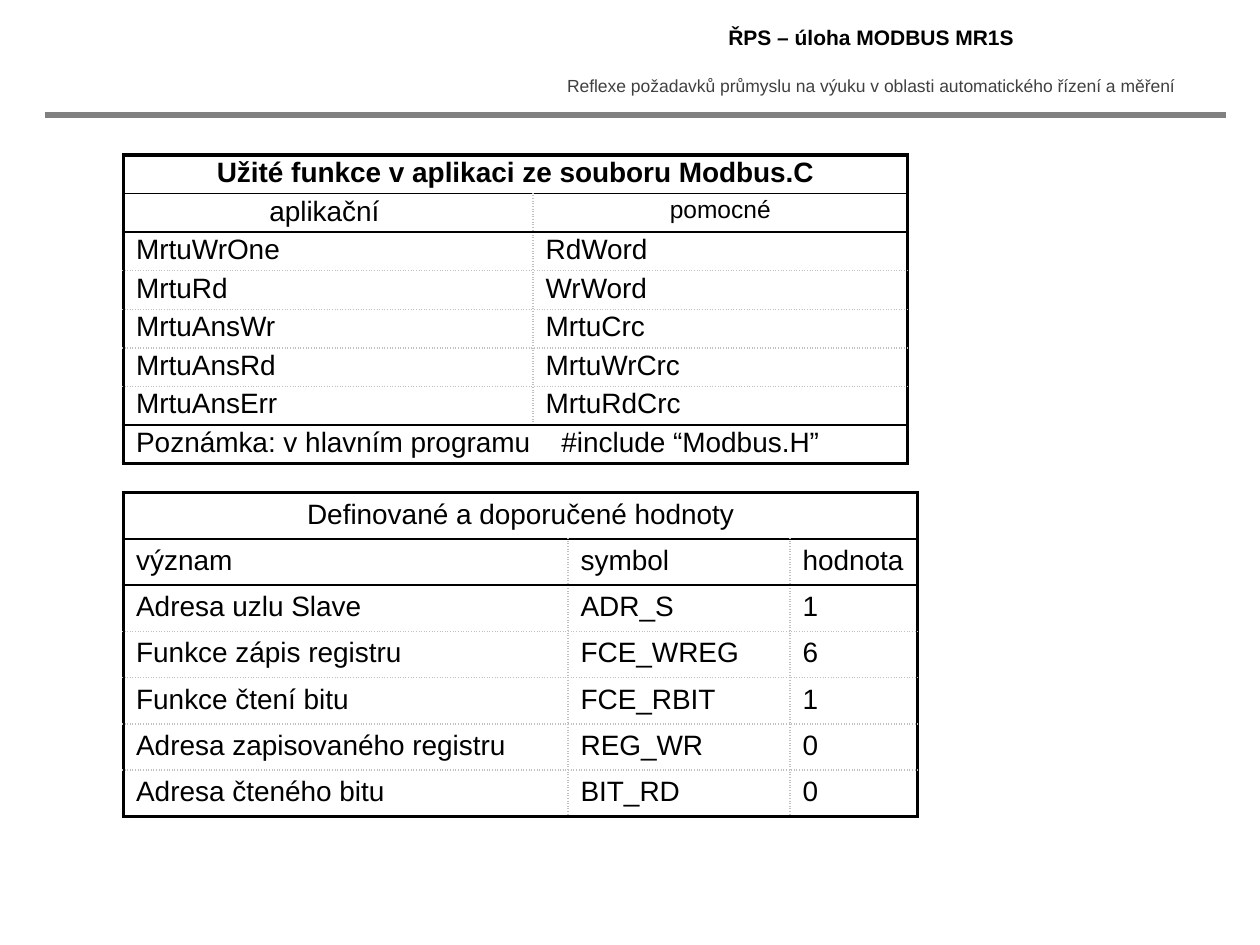
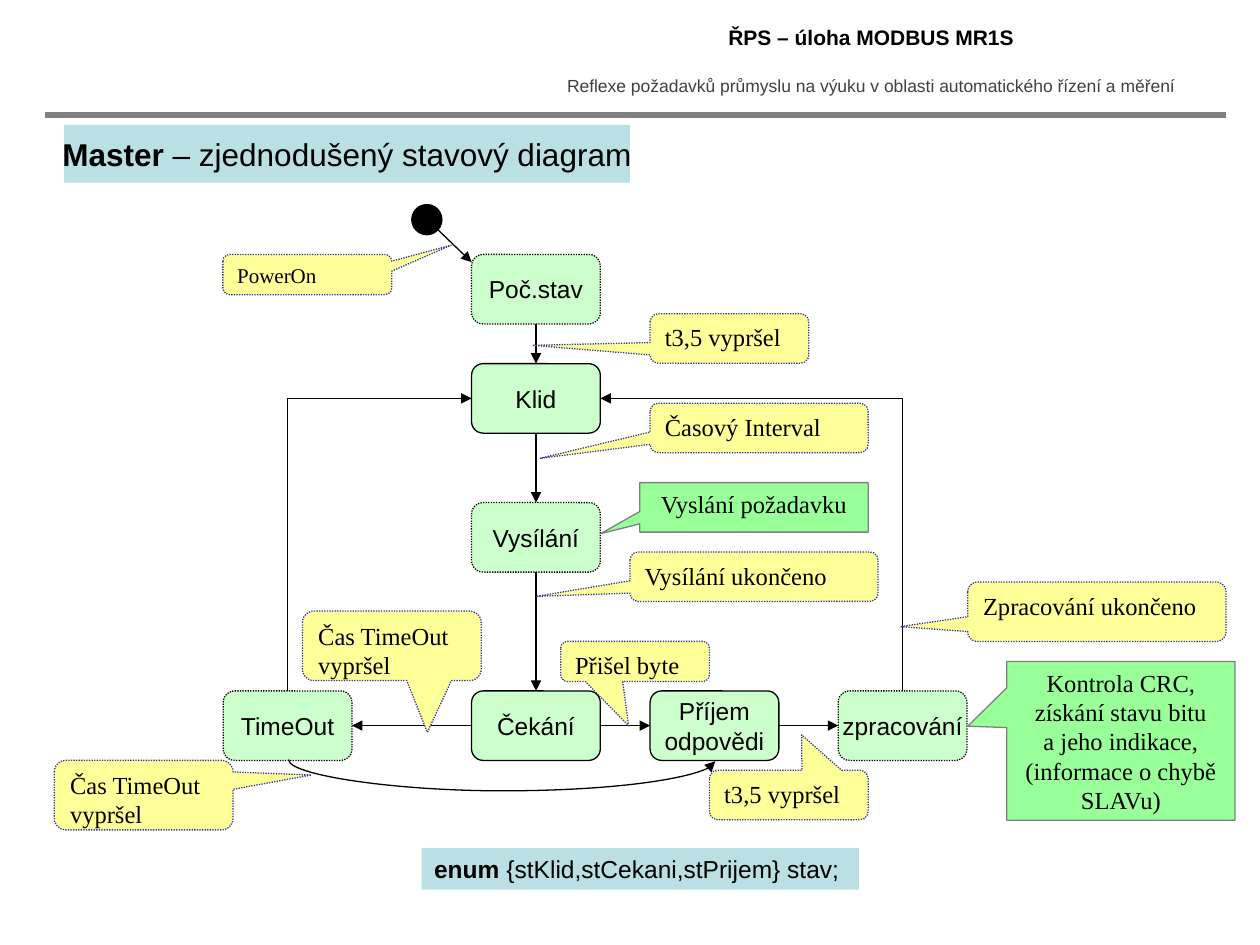
from dataclasses import dataclass

from pptx import Presentation
from pptx.dml.color import RGBColor
from pptx.enum.dml import MSO_LINE
from pptx.enum.shapes import MSO_CONNECTOR as Conn, MSO_SHAPE as Geo
from pptx.enum.text import MSO_ANCHOR as Anchor, MSO_AUTO_SIZE as AutoSize, PP_ALIGN as Align
from pptx.oxml.ns import qn
from pptx.oxml.xmlchemy import OxmlElement
from pptx.util import Pt

# Shared look
COLORS = {
    "text": "000000", "subtitle": "404040", "rule": "808080", "grid": "C0C0C0",
    "state": "CCFFCC", "event": "FFFF99", "event_line": "333399",
    "action": "99FF99", "band": "BBE0E3",
}
SANS, SERIF = "Arial", "Times New Roman"
TITLE = "ŘPS – úloha MODBUS MR1S"
SUBTITLE = "Reflexe požadavků průmyslu na výuku v oblasti automatického řízení a měření"
TOP, LEFT, BOTTOM, RIGHT = range(4)  # connection sites


@dataclass
class TableSpec:
    x: float
    y: float
    widths: list[float]
    row_height: float
    margin: float
    rows: list[list[str]]
    solid_below: set[int]  # rows closed by a solid line
    centered: set[int]
    bold: set[int]


@dataclass
class State:
    label: str
    x: float
    y: float
    dotted: bool = True


@dataclass
class Callout:
    text: str
    box: tuple[float, float, float, float]
    tip: tuple[float, float]
    action: bool = False
    size: float = 14


def rgb(name: str) -> RGBColor:
    return RGBColor.from_string(COLORS[name])


def add_run(p, text: str, size: float, font: str = SANS, color: str = "text", bold: bool = False) -> None:
    r = p.add_run()
    r.text = text
    r.font.size, r.font.name, r.font.bold = Pt(size), font, bold
    r.font.color.rgb = rgb(color)


def write_lines(tf, text: str, size: float, font: str, align) -> None:
    for i, line in enumerate(text.split("\n")):
        p = tf.add_paragraph() if i else tf.paragraphs[0]
        p.alignment = align
        add_run(p, line, size, font)


def add_box(s, geo, box, fill: str, line: str | None = None, dotted: bool = False):
    sp = s.shapes.add_shape(geo, *map(Pt, box))
    sp.shadow.inherit = False
    sp.fill.solid()
    sp.fill.fore_color.rgb = rgb(fill)
    if line is None:
        sp.line.fill.background()
    else:
        sp.line.color.rgb, sp.line.width = rgb(line), Pt(0.75)
        if dotted:
            sp.line.dash_style = MSO_LINE.ROUND_DOT
    return sp


def add_line(s, start, end, kind=Conn.STRAIGHT, color: str = "text", width: float = 0.75, arrow: str = ""):
    """Arrow is "headEnd", "tailEnd" or empty."""
    c = s.shapes.add_connector(kind, *map(Pt, (*start, *end)))
    c.line.color.rgb, c.line.width = rgb(color), Pt(width)
    if arrow:
        tip = OxmlElement(f"a:{arrow}")
        tip.set("type", "triangle")
        c.line._get_or_add_ln().append(tip)
    c._element.spPr.append(OxmlElement("a:effectLst"))
    return c


def link(s, a, a_site: int, b, b_site: int, kind=Conn.STRAIGHT, arrow: str = "tailEnd"):
    c = add_line(s, (0, 0), (0, 0), kind, arrow=arrow)
    c.begin_connect(a, a_site)
    c.end_connect(b, b_site)
    return c


def set_geometry(c, preset: str):
    geom = c._element.spPr.find(qn("a:prstGeom"))
    geom.set("prst", preset)
    return geom


def add_band(s, box, bold_text: str, text: str, size: float):
    sp = add_box(s, Geo.RECTANGLE, box, "band")
    p = sp.text_frame.paragraphs[0]
    p.alignment = Align.LEFT
    add_run(p, bold_text, size, bold=True)
    add_run(p, text, size)
    return sp


def new_slide(prs):
    """Slide with the common title, subtitle and rule."""
    s = prs.slides.add_slide(prs.slide_layouts[5])
    sp = s.shapes.title
    sp.left, sp.top, sp.width, sp.height = map(Pt, (309.6, 10, 376.5, 22.3))
    tf = sp.text_frame
    tf.auto_size, tf.vertical_anchor = AutoSize.NONE, Anchor.MIDDLE
    tf.paragraphs[0].alignment = Align.CENTER
    add_run(tf.paragraphs[0], TITLE, 12, bold=True)

    tf = s.shapes.add_textbox(*map(Pt, (309.6, 39.6, 376, 19.4))).text_frame
    tf.word_wrap = True
    tf.paragraphs[0].alignment = Align.CENTER
    add_run(tf.paragraphs[0], SUBTITLE, 10, color="subtitle")
    add_line(s, (25.5, 65.7), (700.5, 65.7), color="rule", width=3)
    return s


# Tables
def set_border(cell, side: str, color: str, width: float, dotted: bool = False) -> None:
    ln = OxmlElement(f"a:ln{side}")
    ln.set("w", str(Pt(width)))
    fill, clr, dash = map(OxmlElement, ("a:solidFill", "a:srgbClr", "a:prstDash"))
    clr.set("val", COLORS[color])
    dash.set("val", "sysDot" if dotted else "solid")
    fill.append(clr)
    ln.extend([fill, dash])
    cell._tc.get_or_add_tcPr().append(ln)


def border_style(outer: bool, solid: bool) -> tuple:
    if outer:
        return "text", 2.25
    return ("text", 1) if solid else ("grid", 1, True)


def add_tab_stop(p, pos: float) -> None:
    tabs, tab = OxmlElement("a:tabLst"), OxmlElement("a:tab")
    tab.set("pos", str(Pt(pos)))
    tab.set("algn", "l")
    tabs.append(tab)
    p._p.get_or_add_pPr().append(tabs)


def draw_table(s, t: TableSpec) -> None:
    n_rows, n_cols = len(t.rows), len(t.widths)
    frame = s.shapes.add_table(n_rows, n_cols, Pt(t.x), Pt(t.y), Pt(sum(t.widths)), Pt(t.row_height * n_rows))
    tbl = frame.table
    tbl.first_row = tbl.horz_banding = False
    for col, width in zip(tbl.columns, t.widths):
        col.width = Pt(width)
    for i, texts in enumerate(t.rows):
        tbl.rows[i].height = Pt(t.row_height)
        whole = len(texts) == 1
        if whole:
            tbl.cell(i, 0).merge(tbl.cell(i, n_cols - 1))
        for j in range(n_cols):
            cell = tbl.cell(i, j)
            set_border(cell, "L", *border_style(j == 0, False))
            set_border(cell, "R", *border_style(whole or j == n_cols - 1, False))
            set_border(cell, "T", *border_style(i == 0, i - 1 in t.solid_below))
            set_border(cell, "B", *border_style(i == n_rows - 1, i in t.solid_below))
            cell.fill.background()
            cell.margin_top = cell.margin_bottom = Pt(t.margin)
            if j < len(texts):
                p = cell.text_frame.paragraphs[0]
                p.alignment = Align.CENTER if i in t.centered else Align.LEFT
                if "\t" in texts[j]:
                    add_tab_stop(p, 243)
                add_run(p, texts[j], 14 if texts[j] == "pomocné" else 16, bold=i in t.bold)


VALUES = TableSpec(70.6, 281.5, [254, 126.8, 73], 26.43, 3.6, [
    ["Definované a doporučené hodnoty"],
    ["význam", "symbol", "hodnota"],
    ["Adresa uzlu Slave", "ADR_S", "1"],
    ["Funkce zápis registru", "FCE_WREG", "6"],
    ["Funkce čtení bitu", "FCE_RBIT", "1"],
    ["Adresa zapisovaného registru", "REG_WR", "0"],
    ["Adresa čteného bitu", "BIT_RD", "0"],
], solid_below={0, 1}, centered={0}, bold=set())

FUNCTIONS = TableSpec(70.6, 88.6, [234, 214], 22.05, 1.4, [
    ["Užité funkce v aplikaci ze souboru Modbus.C"],
    ["aplikační ", "pomocné"],
    ["MrtuWrOne", "RdWord"],
    ["MrtuRd", "WrWord"],
    ["MrtuAnsWr", "MrtuCrc"],
    ["MrtuAnsRd", "MrtuWrCrc"],
    ["MrtuAnsErr", "MrtuRdCrc"],
    ["Poznámka: v hlavním programu\t#include “Modbus.H”"],
], solid_below={0, 1, 6}, centered={0, 1}, bold={0})

# State diagram
STATE_W, STATE_H = 73.6, 39.7
MID_X, LOW_Y = 269.5, 394.8
STATES = {
    "init": State("Poč.stav", MID_X, 145.4),
    "idle": State("Klid", MID_X, 207.8, dotted=False),
    "send": State("Vysílání", MID_X, 287.2),
    "wait": State("Čekání", MID_X, LOW_Y, dotted=False),
    "receive": State("Příjem\nodpovědi", 371.5, LOW_Y, dotted=False),
    "timeout": State("TimeOut", 127.6, LOW_Y),
    "process": State("zpracování", 479, LOW_Y),
}
STEPS = [
    ("init", BOTTOM, "idle", TOP), ("idle", BOTTOM, "send", TOP), ("send", BOTTOM, "wait", TOP),
    ("wait", RIGHT, "receive", LEFT), ("wait", LEFT, "timeout", RIGHT),
    ("receive", RIGHT, "process", LEFT),
]
CALLOUTS = [
    Callout("PowerOn", (127.4, 145.4, 96.5, 23), (0.852, -0.731), size=12),
    Callout("t3,5 vypršel", (371.5, 179.3, 90.7, 28.3), (-1.241, 0.139)),
    Callout("Časový Interval", (371.5, 230.4, 124.6, 28.3), (-1.005, 0.615)),
    Callout("Vyslání požadavku", (365.6, 275.8, 130.5, 28.3), (-0.671, 0.531), action=True),
    Callout("Vysílání ukončeno", (360, 315.4, 141.8, 28.3), (-0.878, 0.398)),
    Callout("Čas TimeOut\nvypršel", (172.8, 349.2, 102.2, 39.7), (0.199, 1.244)),
    Callout("Zpracování ukončeno", (553, 332.6, 147.6, 34), (-0.761, 0.25)),
    Callout("Přišel byte", (320.4, 366.5, 85, 23), (-0.043, 1.599)),
    Callout("Čas TimeOut\nvypršel", (31, 434.5, 102.2, 39.7), (0.938, -0.289)),
    Callout("Kontrola CRC,\nzískání stavu bitu\na jeho indikace,\n(informace o chybě SLAVu)",
            (575.3, 378, 130.5, 90.7), (-0.671, -0.092), action=True),
    Callout("t3,5 vypršel", (405.4, 440.2, 90.7, 28.3), (0.081, -1.214)),
]


def draw_state(s, st: State):
    sp = add_box(s, Geo.ROUNDED_RECTANGLE, (st.x, st.y, STATE_W, STATE_H), "state", "text", st.dotted)
    tf = sp.text_frame
    tf.word_wrap, tf.vertical_anchor = False, Anchor.MIDDLE
    write_lines(tf, st.label, 14, SANS, Align.CENTER)
    return sp


def draw_callout(s, c: Callout) -> None:
    if c.action:
        sp = add_box(s, Geo.RECTANGULAR_CALLOUT, c.box, "action", "rule")
    else:
        sp = add_box(s, Geo.ROUNDED_RECTANGULAR_CALLOUT, c.box, "event", "event_line", dotted=True)
    sp.adjustments[0], sp.adjustments[1] = c.tip
    tf = sp.text_frame
    tf.word_wrap, tf.vertical_anchor = True, Anchor.TOP
    write_lines(tf, c.text, c.size, SERIF, Align.CENTER if c.action else Align.LEFT)


def draw_return_curve(s, a, b, depth: float) -> None:
    """Curve below two states, from the bottom of a to the bottom of b."""
    c = link(s, a, BOTTOM, b, BOTTOM, Conn.CURVE)
    guide = OxmlElement("a:gd")
    guide.set("name", "adj1")
    guide.set("fmla", f"val {round(depth * 100000)}")
    set_geometry(c, "curvedConnector3").get_or_add_avLst().append(guide)
    span = a.left - b.left
    middle = b.left + (b.width + span) // 2
    c.left, c.top = middle, a.top + a.height - span // 2
    c.width, c.height = Pt(1), span
    xfrm = c._element.spPr.find(qn("a:xfrm"))
    xfrm.set("rot", "5400000")
    xfrm.set("flipH", "0")


def draw_diagram(s) -> None:
    title = add_band(s, (36.6, 71.4, 323.4, 33), "Master", " – zjednodušený stavový diagram", 18)
    title.text_frame.word_wrap = False
    title.text_frame.paragraphs[0].alignment = Align.CENTER

    add_box(s, Geo.OVAL, (235.3, 116.9, 17.2, 17.2), "text", "text")
    add_line(s, (247, 128.2), (269.5, 149.8), arrow="tailEnd")
    boxes = {name: draw_state(s, st) for name, st in STATES.items()}
    for a, a_site, b, b_site in STEPS:
        link(s, boxes[a], a_site, boxes[b], b_site)
    for side, name in ((RIGHT, "process"), (LEFT, "timeout")):
        c = link(s, boxes["idle"], side, boxes[name], TOP, Conn.ELBOW, arrow="headEnd")
        set_geometry(c, "bentConnector2")
    draw_return_curve(s, boxes["receive"], boxes["timeout"], 18)
    for callout in CALLOUTS:
        draw_callout(s, callout)
    add_band(s, (241, 484.6, 249.8, 23.8), "enum ", "{stKlid,stCekani,stPrijem} stav;", 14)


def main() -> None:
    prs = Presentation()
    prs.slide_width, prs.slide_height = Pt(720), Pt(540)
    s = new_slide(prs)
    draw_table(s, VALUES)
    draw_table(s, FUNCTIONS)
    draw_diagram(new_slide(prs))
    prs.save("out.pptx")


if __name__ == "__main__":
    main()
